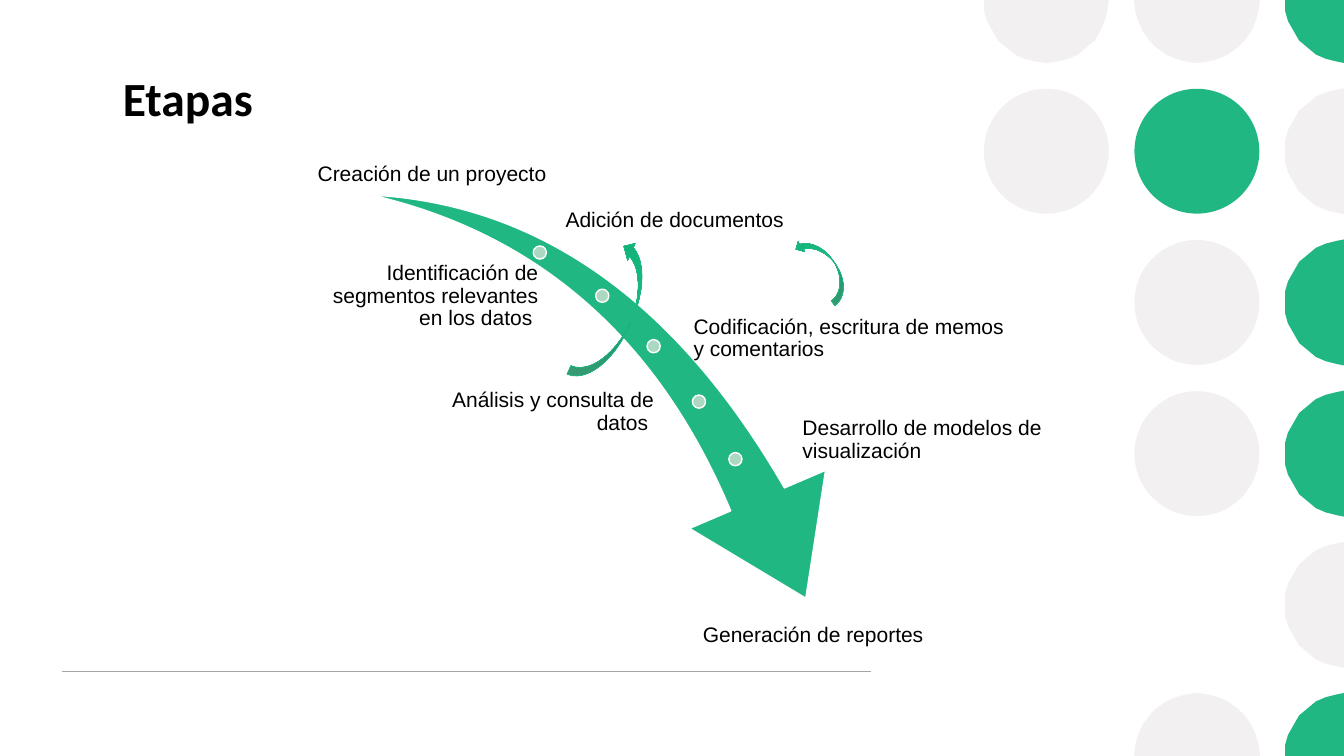
from copy import deepcopy
from math import cos, radians, sin

from lxml.etree import SubElement
from pptx import Presentation
from pptx.dml.color import RGBColor
from pptx.enum.shapes import MSO_CONNECTOR, MSO_SHAPE
from pptx.enum.text import MSO_ANCHOR as Anchor, MSO_AUTO_SIZE, PP_ALIGN as Align
from pptx.oxml.ns import qn
from pptx.util import Pt

TITLE = "Etapas"
# text, left, top, width, alignment, anchor
STAGES = [
    ("Creación de un proyecto", 203.8, 67, 209.5, Align.CENTER, Anchor.BOTTOM),
    ("Adición de documentos", 402.5, 123.8, 260.6, Align.LEFT, Anchor.MIDDLE),
    ("Identificación de segmentos relevantes en los datos ",
     232.6, 177.8, 153.4, Align.RIGHT, Anchor.MIDDLE),
    ("Análisis y consulta de datos ", 287.3, 260.6, 181.4, Align.RIGHT, Anchor.MIDDLE),
    ("Codificación, escritura de memos y comentarios",
     493.9, 208.1, 232.6, Align.LEFT, Anchor.MIDDLE),
    ("Desarrollo de modelos de visualización",
     571.7, 280.8, 175.7, Align.LEFT, Anchor.MIDDLE),
    ("Generación de reportes ", 466.6, 420.5, 232.6, Align.CENTER, Anchor.MIDDLE),
]
MILESTONES = [(380.9, 175.7), (425.5, 206.6), (462.2, 242.6), (494.6, 282.2), (520.6, 323.3)]
# left, top, width, height, rotation
SWOOSH = (257, 150.5, 365, 254.2, 73.3)
RETURN_ARROWS = [(425.5, 170.6, 26.6, 106.6, 203.9), (579.6, 164.9, 17.3, 53.3, 145.5)]
# One string per row of dots: G green, L light, . none
DOT_ROWS = ["LLG", "LGL", ".LG", ".LG", "..L", ".LG"]


class Theme:
    green = RGBColor.from_string("21B782")
    light = RGBColor.from_string("F3F0F1")
    milestone = RGBColor.from_string("ACD8C1")
    rule = RGBColor.from_string("A6A6A6")
    white = RGBColor.from_string("FFFFFF")
    black = RGBColor.from_string("000000")
    gradient = [RGBColor.from_string(c) for c in ("4FC291", "19BE84", "10B077")]
    title_font, title_size = "Calibri", 34
    body_font, body_size = "Arial", 15


WIDTH, HEIGHT = 960, 540
DOT_RADIUS = 44.6
DOT_LEFT, DOT_STEP_X, DOT_STEP_Y = 747.4, 107.5, 108
ARC_STEP = 10
MILESTONE_SIZE = 9.4
LABEL_HEIGHT = 67.7


def paint(sp, fill, line=None, weight=1):
    sp.shadow.inherit = False
    if fill is not None:
        sp.fill.solid()
        sp.fill.fore_color.rgb = fill
    if line is None:
        sp.line.fill.background()
    else:
        sp.line.color.rgb = line
        sp.line.width = Pt(weight)


def add_preset(shapes, kind, left, top, width, height, rotation=0):
    sp = shapes.add_shape(kind, Pt(left), Pt(top), Pt(width), Pt(height))
    sp.rotation = rotation
    return sp


def add_dot(shapes, x, y, fill):
    """Draw a whole dot, or the part of it that lies on the slide."""
    r = DOT_RADIUS
    cut_right, cut_top, cut_bottom = x + r > WIDTH, y < r, y + r > HEIGHT
    if not (cut_right or cut_top or cut_bottom):
        sp = add_preset(shapes, MSO_SHAPE.OVAL, x - r, y - r, 2 * r, 2 * r)
    else:
        start, end = (90, 270) if cut_right else (0, 360)
        if cut_top:
            end = 180
        if cut_bottom:
            start = 180
        angles = [radians(a) for a in range(start, end + 1, ARC_STEP)]
        points = [(min(WIDTH, x + r * cos(a)), y + r * sin(a)) for a in angles]
        if cut_right and (cut_top or cut_bottom):
            points.append((WIDTH, y))
        builder = shapes.build_freeform(*points[0], scale=Pt(1))
        builder.add_line_segments(points[1:], close=True)
        sp = builder.convert_to_shape()
    paint(sp, fill)


def add_dots(shapes):
    fills = {"G": Theme.green, "L": Theme.light}
    for row, marks in enumerate(DOT_ROWS):
        for col, mark in enumerate(marks):
            if mark in fills:
                add_dot(shapes, DOT_LEFT + col * DOT_STEP_X, row * DOT_STEP_Y, fills[mark])


def add_rule(shapes):
    line = shapes.add_connector(MSO_CONNECTOR.STRAIGHT, Pt(44.6), Pt(479.5), Pt(622), Pt(479.5))
    line.line.color.rgb = Theme.rule
    line.line.width = Pt(1)
    SubElement(line._element.spPr, qn("a:effectLst"))


def add_return_arrow(shapes, box):
    sp = add_preset(shapes, MSO_SHAPE.CURVED_RIGHT_ARROW, *box)
    sp.fill.gradient()
    sp.fill.gradient_angle = 270
    stop_list = sp._element.spPr.find(".//" + qn("a:gsLst"))
    stop_list.append(deepcopy(stop_list[-1]))
    for stop, color, position in zip(sp.fill.gradient_stops, Theme.gradient, (0, 0.5, 1)):
        stop.color.rgb = color
        stop.position = position
    paint(sp, None, Theme.green, 0.5)


def write(tf, text, font, size, align, anchor, bold=False):
    tf.text = text
    tf.word_wrap = True
    tf.auto_size = MSO_AUTO_SIZE.NONE
    tf.vertical_anchor = anchor
    p = tf.paragraphs[0]
    p.alignment = align
    p.line_spacing = 0.9
    r = p.runs[0]
    r.font.name, r.font.size, r.font.bold = font, Pt(size), bold
    r.font.color.rgb = Theme.black


def add_stage(shapes, text, left, top, width, align, anchor):
    tf = shapes.add_textbox(Pt(left), Pt(top), Pt(width), Pt(LABEL_HEIGHT)).text_frame
    tf.margin_left = tf.margin_right = tf.margin_top = tf.margin_bottom = Pt(1.5)
    write(tf, text, Theme.body_font, Theme.body_size, align, anchor)


def main():
    prs = Presentation()
    prs.slide_width, prs.slide_height = Pt(WIDTH), Pt(HEIGHT)
    shapes = prs.slides.add_slide(prs.slide_layouts[5]).shapes

    title = shapes.title
    title.left, title.top, title.width, title.height = Pt(80.6), Pt(50.4), Pt(648), Pt(90)
    write(title.text_frame, TITLE, Theme.title_font, Theme.title_size,
          Align.LEFT, Anchor.TOP, bold=True)

    add_dots(shapes)
    add_rule(shapes)

    swoosh = add_preset(shapes, MSO_SHAPE.SWOOSH_ARROW, *SWOOSH)
    swoosh.adjustments[0], swoosh.adjustments[1] = 0.163, 0.314
    paint(swoosh, Theme.green, Theme.white)
    for left, top in MILESTONES:
        sp = add_preset(shapes, MSO_SHAPE.OVAL, left, top, MILESTONE_SIZE, MILESTONE_SIZE)
        paint(sp, Theme.milestone, Theme.white)

    for stage in STAGES:
        add_stage(shapes, *stage)
    for box in RETURN_ARROWS:
        add_return_arrow(shapes, box)

    prs.save("out.pptx")


if __name__ == "__main__":
    main()
